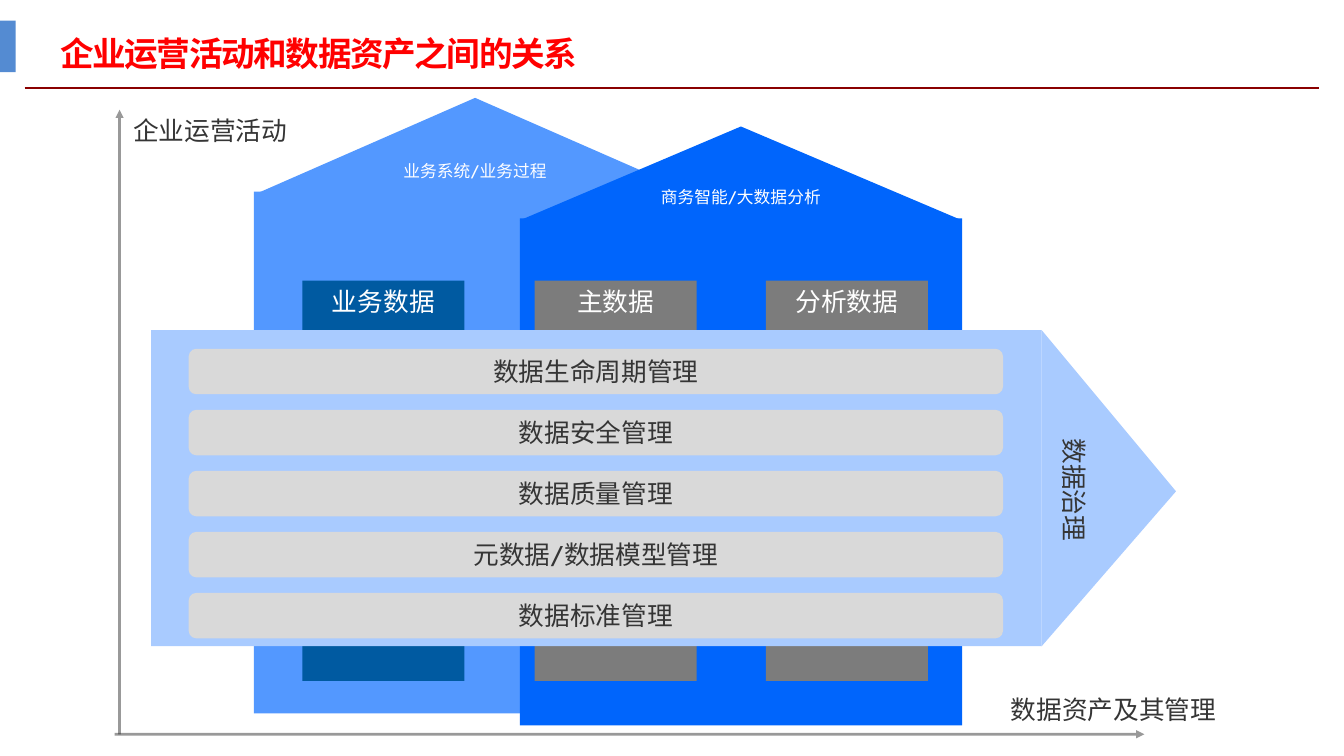
from lxml import etree
from pptx import Presentation
from pptx.dml.color import RGBColor
from pptx.enum.shapes import MSO_CONNECTOR, MSO_SHAPE
from pptx.enum.text import MSO_ANCHOR, MSO_AUTO_SIZE, PP_ALIGN
from pptx.oxml.ns import qn
from pptx.util import Inches, Pt

RECT = MSO_SHAPE.RECTANGLE
ROUNDED = MSO_SHAPE.ROUNDED_RECTANGLE
TRIANGLE = MSO_SHAPE.ISOSCELES_TRIANGLE
STRAIGHT = MSO_CONNECTOR.STRAIGHT
TOP, MIDDLE = MSO_ANCHOR.TOP, MSO_ANCHOR.MIDDLE
LEFT, CENTER = PP_ALIGN.LEFT, PP_ALIGN.CENTER

# The slide is a grid of 136 columns by 76.5 rows.
CELL = Inches(0.1)
COLUMNS, ROWS = 136, 76.5

BODY_FONT, TITLE_FONT = "Cabin", "Noto Sans CJK SC"
LABEL_SIZE, ROOF_SIZE, TITLE_SIZE = 18.7, 12.2, 24.5

COLORS = {
    "title": "FF0000",
    "rule": "8A0000",
    "marker": "548BD2",
    "systems": "5398FF",
    "analytics": "0065FC",
    "business_data": "005AA1",
    "shared_data": "7C7C7C",
    "governance": "A9CBFF",
    "practice": "D9D9D9",
    "axis": "343434",
    "dark": "353535",
    "light": "FFFFFF",
}

DATA_PILLARS = [
    ("业务数据", 30.6, "business_data"),
    ("主数据", 54.1, "shared_data"),
    ("分析数据", 77.5, "shared_data"),
]
PRACTICES = [
    "数据生命周期管理",
    "数据安全管理",
    "数据质量管理",
    "元数据/数据模型管理",
    "数据标准管理",
]


def color(name):
    return RGBColor.from_string(COLORS[name])


def grid(*cells):
    return [round(cell * CELL) for cell in cells]


def write(frame, text, size, ink, font=BODY_FONT, align=CENTER, anchor=MIDDLE):
    """Fill a text frame with one formatted line and return its run."""
    frame.text = text
    frame.vertical_anchor = anchor
    paragraph = frame.paragraphs[0]
    paragraph.alignment = align
    run = paragraph.runs[0]
    run.font.size = Pt(size)
    run.font.name = font
    run.font.color.rgb = color(ink)
    east_asian = etree.SubElement(run.font._element, qn("a:ea"))
    east_asian.set("typeface", font)
    return run


def add_block(slide, kind, box, fill):
    block = slide.shapes.add_shape(kind, *grid(*box))
    block.shadow.inherit = False
    block.fill.solid()
    block.fill.fore_color.rgb = color(fill)
    block.line.fill.background()
    return block


def add_line(slide, start, end, ink, width):
    line = slide.shapes.add_connector(STRAIGHT, *grid(*start, *end))
    line.line.color.rgb = color(ink)
    line.line.width = Pt(width)
    etree.SubElement(line._element.spPr, qn("a:effectLst"))
    return line


def add_axis(slide, start, end):
    """Draw a half-transparent arrow."""
    axis = add_line(slide, start, end, "axis", 2)
    outline = axis.line._get_or_add_ln()
    ink = outline.find(".//" + qn("a:srgbClr"))
    etree.SubElement(ink, qn("a:alpha")).set("val", "50000")
    etree.SubElement(outline, qn("a:tailEnd")).set("type", "triangle")


def add_axis_label(slide, text, box):
    frame = slide.shapes.add_textbox(*grid(*box)).text_frame
    frame.word_wrap = False
    frame.auto_size = MSO_AUTO_SIZE.SHAPE_TO_FIT_TEXT
    write(frame, text, LABEL_SIZE, "dark", align=LEFT, anchor=TOP)


def add_house(slide, text, left, roof, walls, fill):
    """Draw walls below a labelled roof; both are given as (top, height)."""
    width = 44.75
    add_block(slide, RECT, (left, walls[0], width, walls[1]), fill)
    gable = add_block(slide, TRIANGLE, (left, roof[0], width, roof[1]), fill)
    write(gable.text_frame, text, ROOF_SIZE, "light")


def add_title(slide, text):
    add_line(slide, (2.5, 8.9), (133.5, 8.9), "rule", 1.5)
    add_block(slide, RECT, (0, 2.1, 1.6, 5.2), "marker")
    title = slide.shapes.title
    title.left, title.top, title.width, title.height = grid(5.1, 2.3, 96.1, 6.6)
    frame = title.text_frame
    frame.auto_size = MSO_AUTO_SIZE.NONE
    run = write(frame, text, TITLE_SIZE, "title", TITLE_FONT, LEFT)
    run.font.bold = True
    run.font._element.set("spc", "-100")
    frame.paragraphs[0].line_spacing = 0.9


def add_pillars(slide):
    for name, left, fill in DATA_PILLARS:
        pillar = add_block(slide, RECT, (left, 28.4, 16.4, 40.5), fill)
        write(pillar.text_frame, name, LABEL_SIZE, "light", anchor=TOP)


def add_governance_arrow(slide):
    left, top, length, breadth, depth = 15.3, 33.4, 90.1, 32, 13.6
    add_block(slide, RECT, (left, top, length, breadth), "governance")
    # The head is turned a quarter, so its box is centred on the turned shape.
    head_left = left + length + (depth - breadth) / 2
    head_top = top + (breadth - depth) / 2
    head = add_block(
        slide, TRIANGLE, (head_left, head_top, breadth, depth), "governance"
    )
    head.rotation = 90
    head.adjustments[0] = 0.51
    write(head.text_frame, "数据治理", LABEL_SIZE, "dark")


def add_practices(slide):
    first, last = 35.3, 60
    pitch = (last - first) / (len(PRACTICES) - 1)
    for row, name in enumerate(PRACTICES):
        box = (19.1, first + row * pitch, 82.4, 4.6)
        practice = add_block(slide, ROUNDED, box, "practice")
        write(practice.text_frame, name, LABEL_SIZE, "dark")


def main():
    deck = Presentation()
    deck.slide_width, deck.slide_height = grid(COLUMNS, ROWS)
    slide = deck.slides.add_slide(deck.slide_layouts[5])

    add_title(slide, "企业运营活动和数据资产之间的关系")
    add_house(slide, "业务系统/业务过程", 25.7, (9.9, 9.8), (19.4, 52.8), "systems")
    add_house(
        slide, "商务智能/大数据分析", 52.6, (12.8, 9.5), (22.1, 51.3), "analytics"
    )
    add_pillars(slide)
    add_axis(slide, (11.6, 74.3), (115.8, 74.3))
    add_axis(slide, (12.1, 74.3), (12.1, 11.1))
    add_axis_label(slide, "数据资产及其管理", (101.3, 69.7, 23.5, 4.2))
    add_axis_label(slide, "企业运营活动", (12.5, 11.1, 18.2, 4.2))
    add_governance_arrow(slide)
    add_practices(slide)

    deck.save("out.pptx")


if __name__ == "__main__":
    main()
